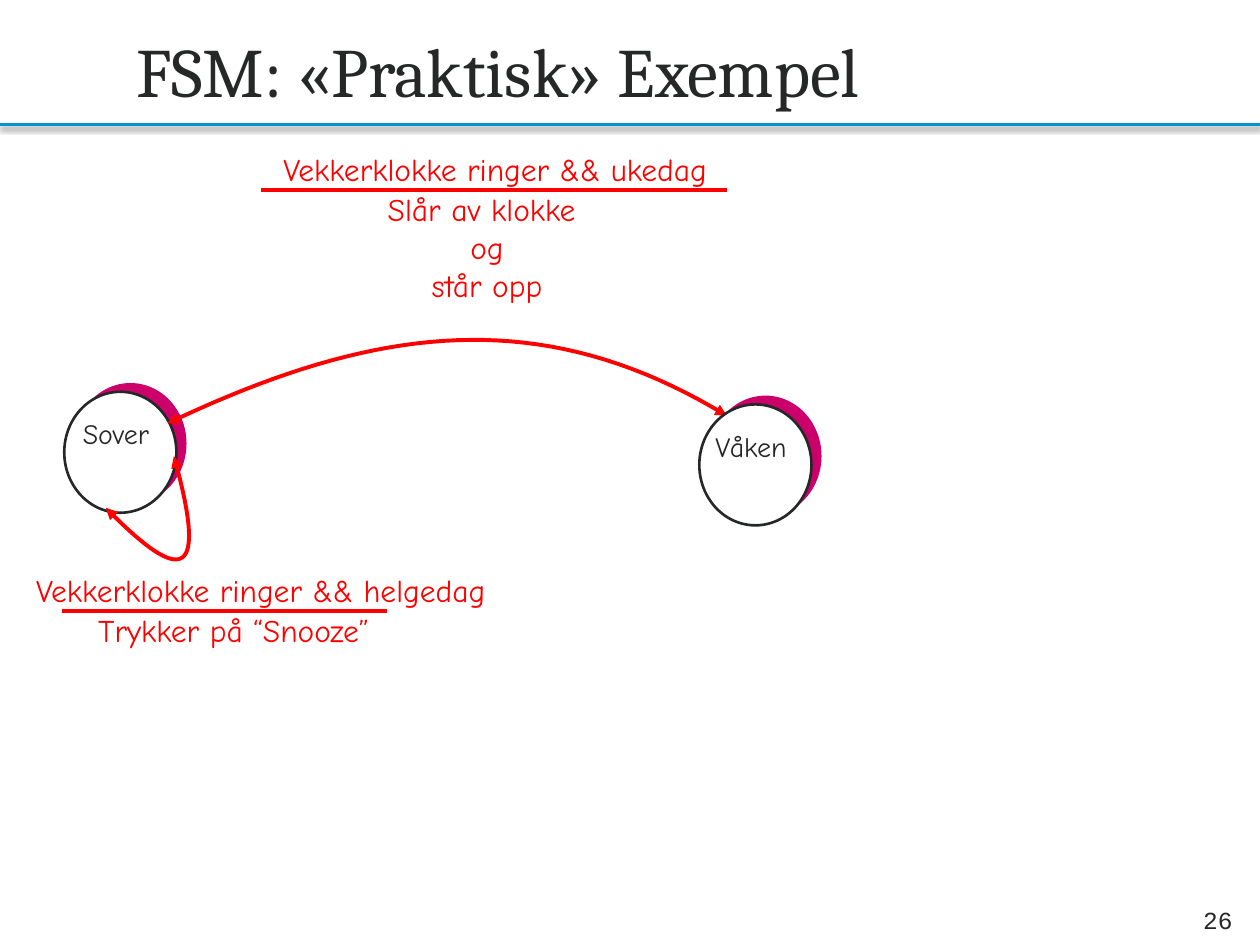
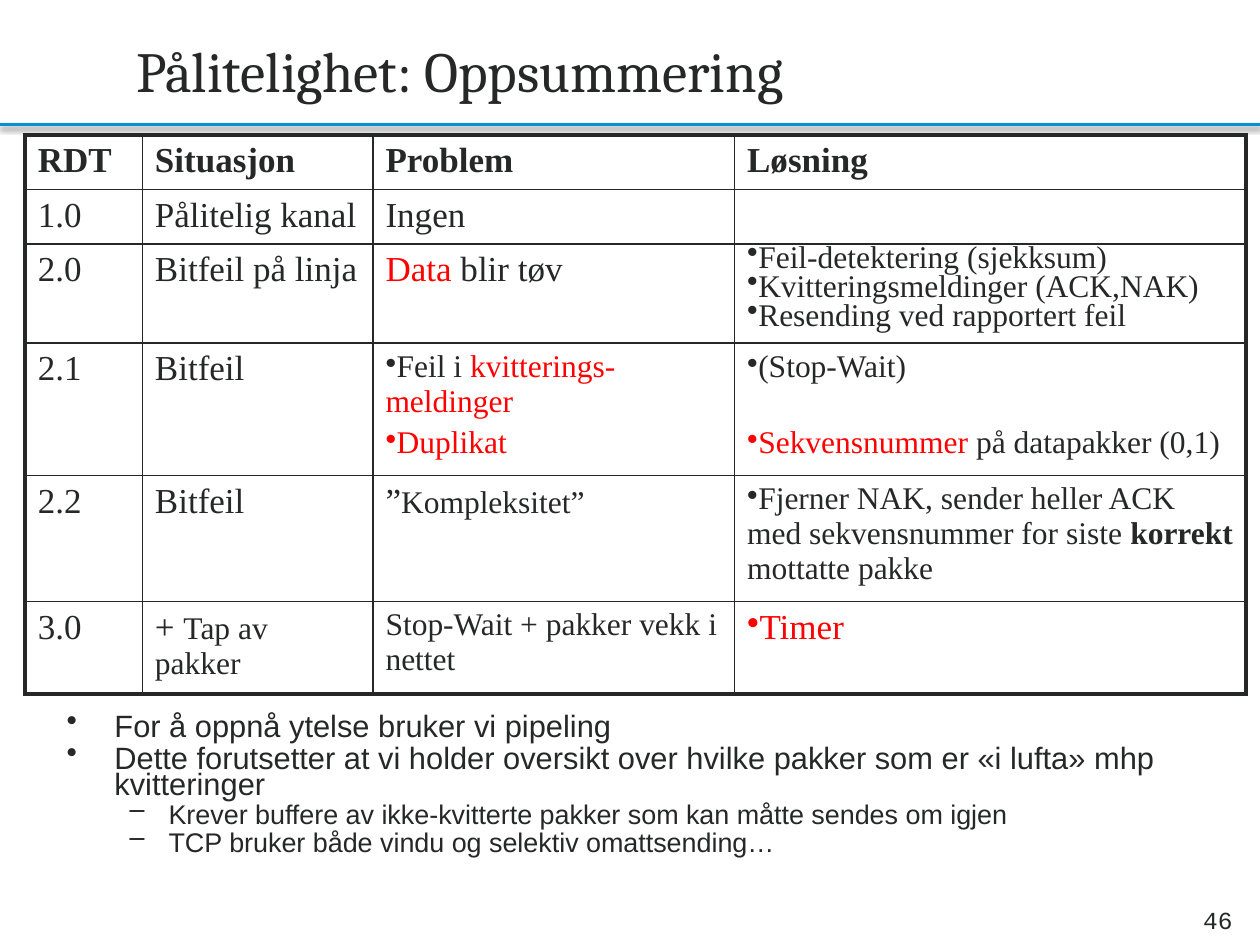
from dataclasses import dataclass

from lxml import etree
from pptx import Presentation
from pptx.dml.color import RGBColor
from pptx.enum.shapes import MSO_CONNECTOR as CONNECTOR, MSO_SHAPE as SHAPE
from pptx.enum.text import MSO_ANCHOR as ANCHOR, MSO_AUTO_SIZE as AUTO_SIZE, PP_ALIGN as ALIGN
from pptx.oxml.ns import qn
from pptx.util import Inches, Pt

INK = RGBColor(0x26, 0x28, 0x27)
RED = RGBColor(0xFF, 0x00, 0x00)
BLUE = RGBColor(0x00, 0x92, 0xD1)
MAGENTA = RGBColor(0xCC, 0x00, 0x6B)
WHITE = RGBColor(0xFF, 0xFF, 0xFF)
BLACK = RGBColor(0x00, 0x00, 0x00)

TITLE_FONT, NUMBER_FONT = "Cambria", "Courier New"
DIAGRAM_FONT, TABLE_FONT, BODY_FONT = "Comic Neue", "Times New Roman", "Arial"

TABLE_COLUMNS = [0.93, 1.83, 2.87, 4.06]
TABLE_ROWS = [0.41, 0.41, 0.74, 0.98, 0.93, 0.68]


@dataclass
class Para:
    """Runs are (text, format) pairs; before is the space above in points."""
    runs: list
    size: float = 20
    bullet: str = ""
    left: float = 0
    hanging: float = 0
    spacing: float = 1.0
    before: float = None


def plain(text, **options):
    return Para([(text, {})], **options)


def point(*runs, size=18, **options):
    return Para(list(runs), size=size, bullet="•", **options)


HEADINGS = ["RDT", "Situasjon", "Problem", "Løsning"]
RDT_VERSIONS = [
    ["1.0", "Pålitelig kanal", "Ingen", ""],
    ["2.0", "Bitfeil på linja",
     [Para([("Data", {"color": RED}), (" blir tøv", {})])],
     [point((remedy, {}), spacing=0.65) for remedy in (
         "Feil-detektering (sjekksum)",
         "Kvitteringsmeldinger (ACK,NAK)",
         "Resending ved rapportert feil")]],
    ["2.1", "Bitfeil",
     [point(("Feil i ", {}), ("kvitterings-meldinger", {"color": RED})),
      point(("Duplikat", {"color": RED}))],
     [point(("(Stop-Wait)", {})),
      point(("Sekvensnummer", {"color": RED}), (" på datapakker (0,1)", {}), before=23.5)]],
    ["2.2", "Bitfeil",
     [Para([("”", {}), ("Kompleksitet”", {"size": 18})])],
     [point(("Fjerner NAK, sender heller ACK med sekvensnummer for siste ", {}),
            ("korrekt ", {"bold": True}), ("mottatte pakke", {}))]],
    ["3.0",
     [Para([("+ ", {}), ("Tap av pakker", {"size": 18})])],
     [plain("Stop-Wait + pakker vekk i nettet", size=18)],
     [point(("Timer", {"color": RED}), size=20)]],
]

MAIN_POINT = {"size": 17.6, "bullet": "•", "left": 0.38, "hanging": 0.38, "spacing": 0.7}
SUB_POINT = {"size": 15.4, "bullet": "–", "left": 0.81, "hanging": 0.31, "spacing": 0.7}
PIPELINING = [
    plain("For å oppnå ytelse bruker vi pipeling", **MAIN_POINT),
    plain("Dette forutsetter at vi holder oversikt over hvilke pakker som er "
          "«i lufta» mhp kvitteringer", **MAIN_POINT),
    plain("Krever buffere av ikke-kvitterte pakker som kan måtte sendes om igjen", **SUB_POINT),
    plain("TCP bruker både vindu og selektiv omattsending…", **SUB_POINT),
]


def set_font(font, name, size, color=INK, bold=False):
    for attribute, value in {"name": name, "size": Pt(size), "bold": bold}.items():
        setattr(font, attribute, value)
    font.color.rgb = color


def set_bullet(paragraph, para):
    properties = paragraph._p.get_or_add_pPr()
    properties.set("marL", str(Inches(para.left)))
    properties.set("indent", str(-Inches(para.hanging)))
    etree.SubElement(properties, qn("a:buChar"), char=para.bullet)


def write_paragraphs(frame, paras, font_name, bold=False):
    for index, para in enumerate(paras):
        paragraph = frame.add_paragraph() if index else frame.paragraphs[0]
        paragraph.line_spacing = para.spacing
        paragraph.space_before = Pt(0.2 * para.size if para.before is None else para.before)
        if para.bullet:
            set_bullet(paragraph, para)
        for text, run_format in para.runs:
            run = paragraph.add_run()
            run.text = text
            set_font(run.font, font_name, **{"size": para.size, "bold": bold, **run_format})


def add_text_box(slide, left, top, width, height):
    box = slide.shapes.add_textbox(*map(Inches, (left, top, width, height)))
    box.text_frame.word_wrap = True
    return box.text_frame


def add_label(slide, text, left, top, width, height=0.4, font_name=DIAGRAM_FONT,
              size=18, color=RED, align=ALIGN.CENTER, anchor=ANCHOR.TOP):
    frame = add_text_box(slide, left, top, width, height)
    frame.vertical_anchor = anchor
    frame.text = text
    for paragraph in frame.paragraphs:
        paragraph.alignment = align
        set_font(paragraph.font, font_name, size, color)


def add_rule(slide, left, right, y, color, width):
    """Draw a horizontal line and return its empty effect list."""
    rule = slide.shapes.add_connector(
        CONNECTOR.STRAIGHT, *map(Inches, (left, y, right, y)))
    rule.line.color.rgb = color
    rule.line.width = Pt(width)
    return etree.SubElement(rule._element.spPr, qn("a:effectLst"))


def add_title_slide(deck, title, title_size, number):
    slide = deck.slides.add_slide(deck.slide_layouts[5])
    effects = add_rule(slide, 0, 10, 0.99, BLUE, 2)
    shadow = etree.SubElement(
        effects, qn("a:outerShdw"), blurRad=str(Pt(3.1)), dist=str(Pt(1.6)),
        dir="5400000", rotWithShape="0")
    shade = etree.SubElement(shadow, qn("a:srgbClr"), val=str(BLACK))
    etree.SubElement(shade, qn("a:alpha"), val="38000")

    heading = slide.shapes.title
    place = {"left": 0.98, "top": 0.21, "width": 8.82, "height": 0.69}
    for attribute, value in place.items():
        setattr(heading, attribute, Inches(value))
    frame = heading.text_frame
    frame.text = title
    frame.auto_size = AUTO_SIZE.NONE
    frame.vertical_anchor = ANCHOR.MIDDLE
    frame.paragraphs[0].alignment = ALIGN.LEFT
    set_font(frame.paragraphs[0].runs[0].font, TITLE_FONT, title_size)

    add_label(slide, number, 8.94, 7.1, 0.94, font_name=NUMBER_FONT, size=14,
              color=INK, align=ALIGN.RIGHT, anchor=ANCHOR.MIDDLE)
    return slide


def add_disc(slide, left, top, color):
    disc = slide.shapes.add_shape(SHAPE.OVAL, *map(Inches, (left, top, 0.89, 0.96)))
    disc.shadow.inherit = False
    disc.fill.solid()
    disc.fill.fore_color.rgb = color
    disc.line.fill.background()
    return disc


def add_state(slide, name, left, top):
    add_disc(slide, left + 0.08, top - 0.07, MAGENTA)
    face = add_disc(slide, left, top, WHITE)
    face.line.color.rgb = INK
    face.line.width = Pt(1.5)
    add_label(slide, name, left, top + 0.15, 0.82, 0.37, size=16, color=INK)


def bezier_point(controls, t):
    weights = ((1 - t) ** 3, 3 * t * (1 - t) ** 2, 3 * t ** 2 * (1 - t), t ** 3)
    return tuple(Inches(sum(w * c[axis] for w, c in zip(weights, controls)))
                 for axis in (0, 1))


def add_transition(slide, *controls, steps=40):
    """Draw a cubic curve through four control points, with arrowheads."""
    start, *rest = [bezier_point(controls, step / steps) for step in range(steps + 1)]
    builder = slide.shapes.build_freeform(*start, scale=1.0)
    builder.add_line_segments(rest, close=False)
    curve = builder.convert_to_shape()
    curve.shadow.inherit = False
    curve.fill.background()
    curve.line.color.rgb = RED
    curve.line.width = Pt(2.25)
    for end in ("a:headEnd", "a:tailEnd"):
        etree.SubElement(curve.line._get_or_add_ln(), qn(end), type="triangle")


def set_borders(cell, widths):
    properties = cell._tc.get_or_add_tcPr()
    for index, (side, width) in enumerate(widths.items()):
        border = etree.Element(qn(f"a:ln{side}"), w=str(Pt(width)))
        fill = etree.SubElement(border, qn("a:solidFill"))
        etree.SubElement(fill, qn("a:srgbClr"), val=str(INK))
        properties.insert(index, border)


def add_rdt_table(slide, rows):
    table = slide.shapes.add_table(
        len(rows), len(TABLE_COLUMNS), Inches(0.2), Inches(1.07),
        Inches(sum(TABLE_COLUMNS)), Inches(sum(TABLE_ROWS))).table
    table.first_row = table.horz_banding = False
    for column, width in zip(table.columns, TABLE_COLUMNS):
        column.width = Inches(width)
    for row, height in zip(table.rows, TABLE_ROWS):
        row.height = Inches(height)

    last_row, last_column = len(rows) - 1, len(TABLE_COLUMNS) - 1
    for r, row in enumerate(rows):
        for c, content in enumerate(row):
            cell = table.cell(r, c)
            cell.fill.background()
            edges = {"L": c == 0, "R": c == last_column, "T": r == 0, "B": r == last_row}
            set_borders(cell, {side: 2.25 if outer else 1 for side, outer in edges.items()})
            if content:
                paras = [plain(content)] if isinstance(content, str) else content
                write_paragraphs(cell.text_frame, paras, TABLE_FONT, bold=r == 0)


def build_alarm_clock(deck):
    slide = add_title_slide(deck, "FSM: «Praktisk» Exempel", 39.6, "26")
    add_state(slide, "Sover", 0.51, 3.11)
    add_label(slide, "Vekkerklokke ringer && ukedag", 1.99, 1.14, 3.88)
    add_label(slide, "Slår av klokke \nog\nstår opp", 1.36, 1.46, 5.01, 1.01)
    add_rule(slide, 2.07, 5.77, 1.51, RED, 2.25)
    add_transition(slide, (1.33, 3.36), (2.99, 2.57), (4.31, 2.41), (5.77, 3.3))
    add_state(slide, "Våken", 5.55, 3.21)
    add_label(slide, "Vekkerklokke ringer && helgedag", 0.02, 4.48, 4.1)
    add_label(slide, "Trykker på “Snooze”", 0.54, 4.8, 2.63)
    add_rule(slide, 0.49, 3.07, 4.85, RED, 2.25)
    add_transition(slide, (1.38, 3.62), (1.62, 4.48), (1.53, 4.74), (0.84, 4.03))


def build_reliability_summary(deck):
    slide = add_title_slide(deck, "Pålitelighet: Oppsummering", 32.4, "46")
    write_paragraphs(add_text_box(slide, 0.43, 5.64, 9.21, 1.34), PIPELINING, BODY_FONT)
    add_rdt_table(slide, [HEADINGS, *RDT_VERSIONS])


def main():
    deck = Presentation()
    deck.slide_width, deck.slide_height = Inches(10), Inches(7.5)
    build_alarm_clock(deck)
    build_reliability_summary(deck)
    deck.save("out.pptx")


if __name__ == "__main__":
    main()
